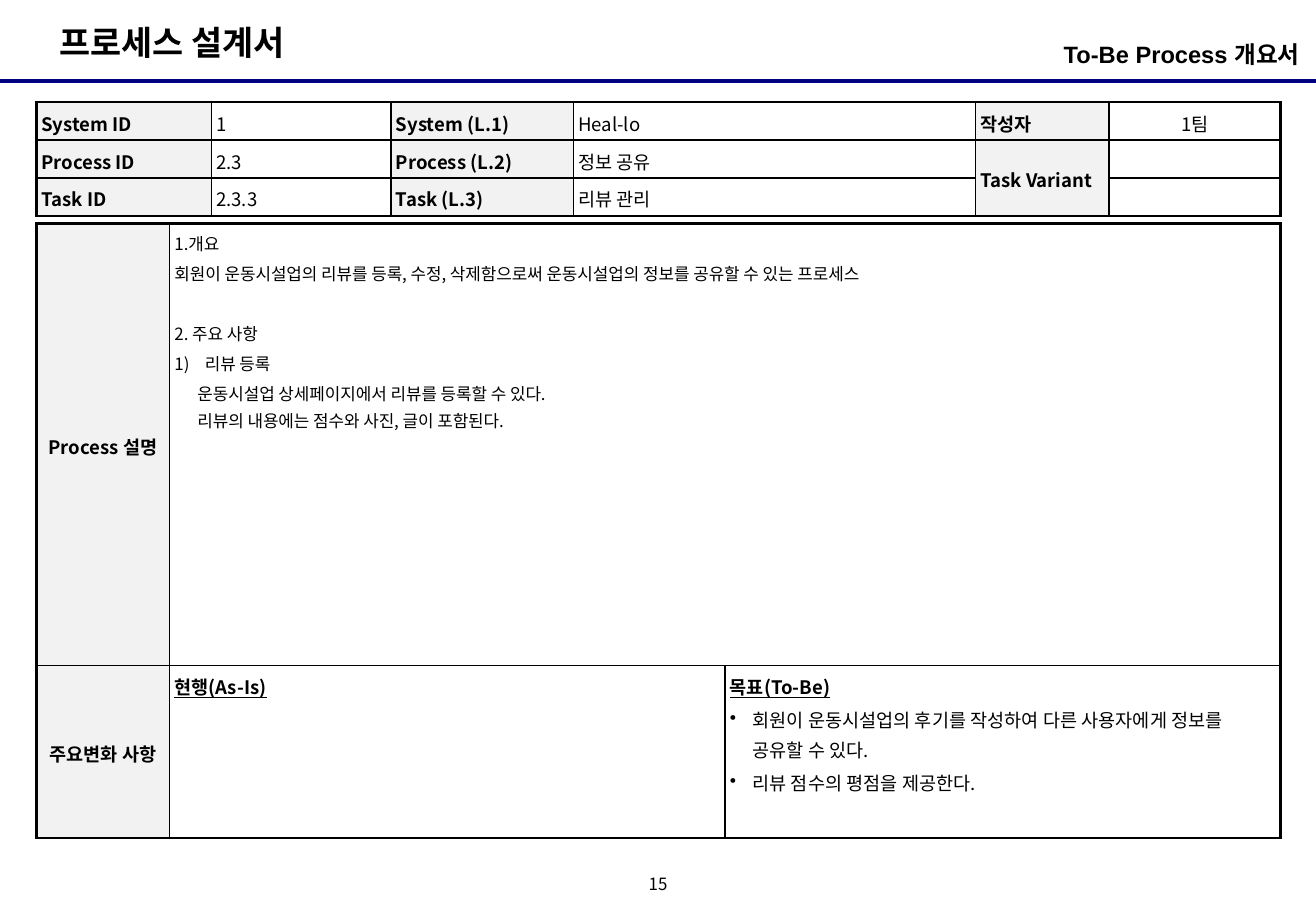
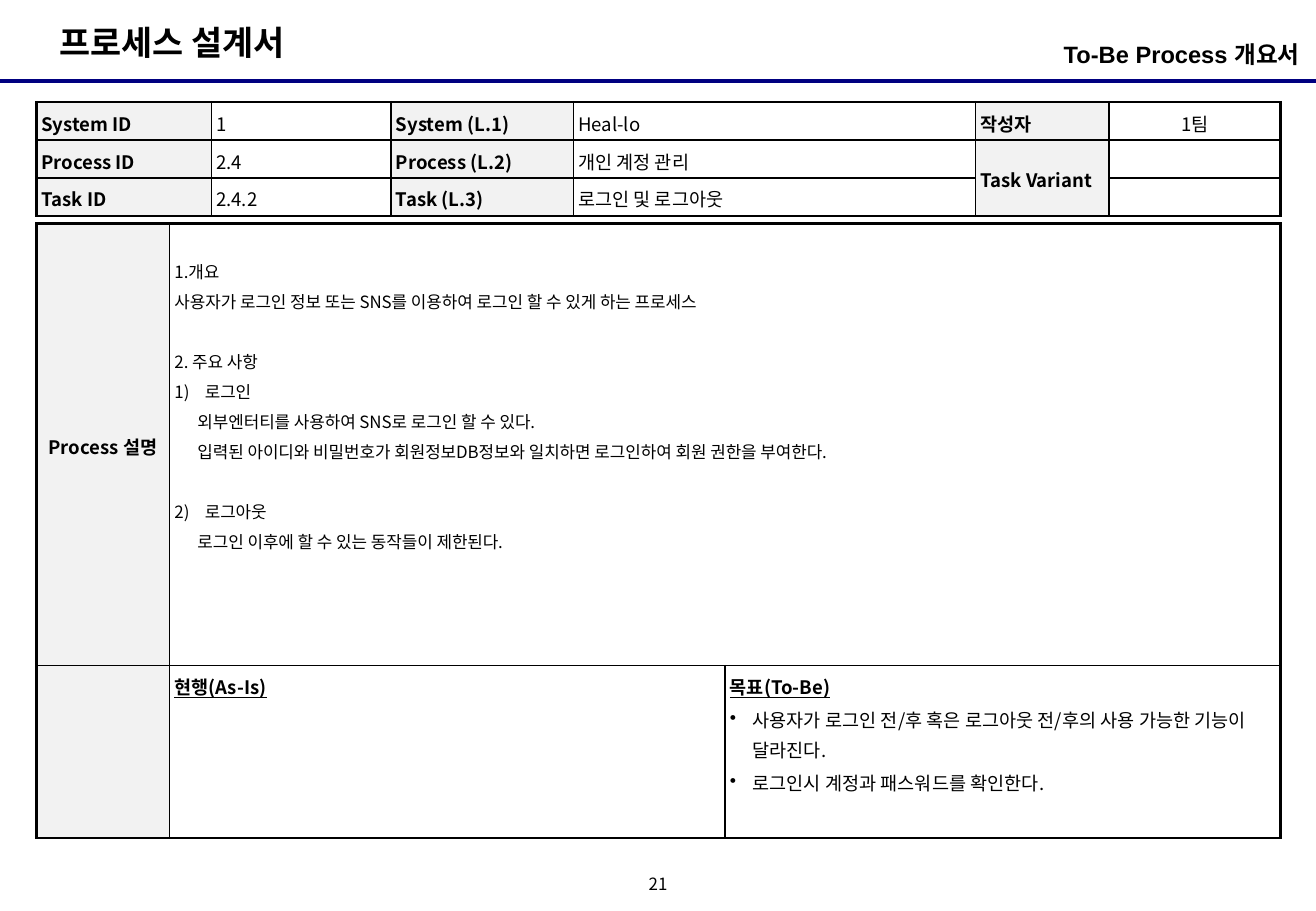
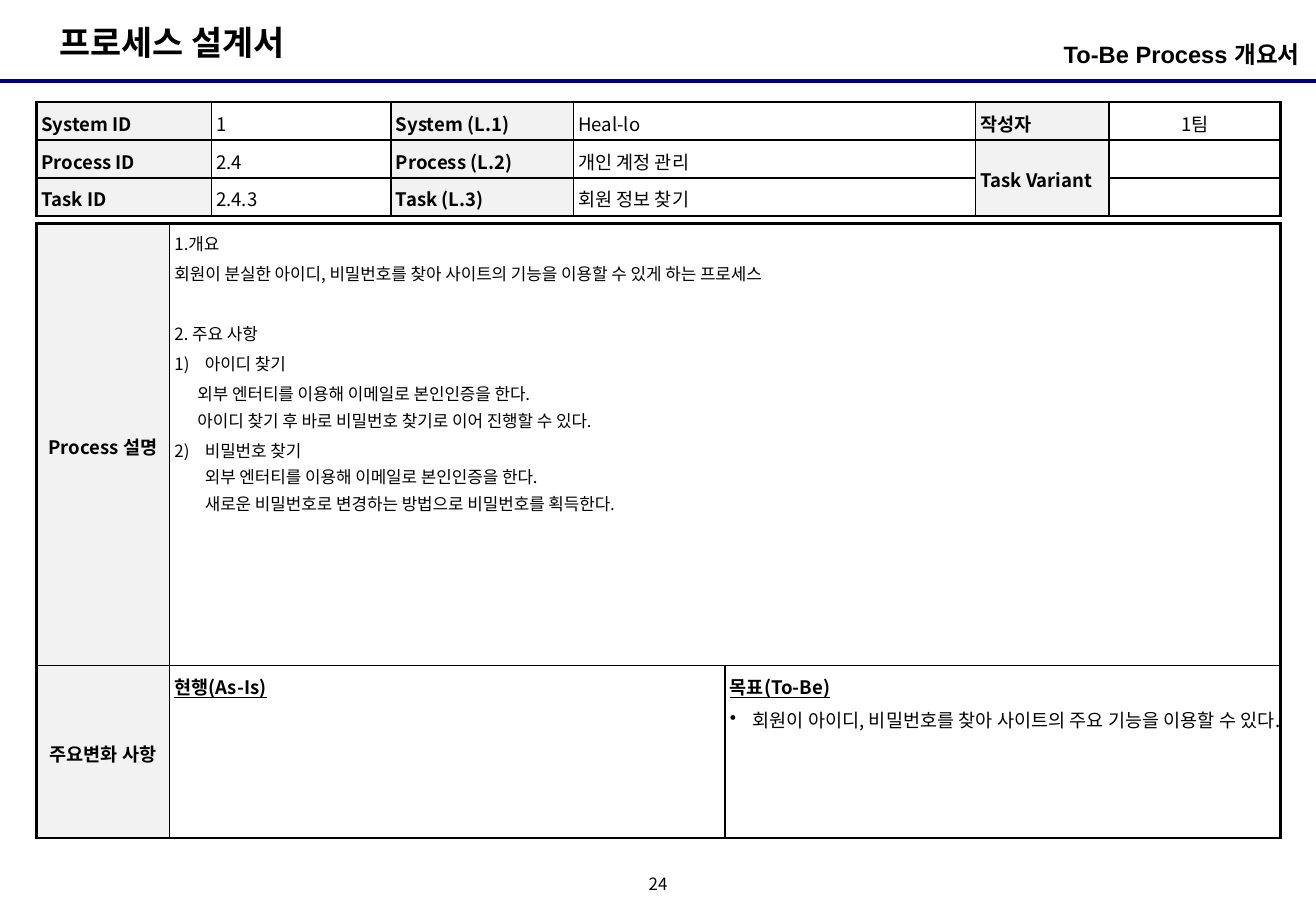
from lxml.etree import SubElement
from pptx import Presentation
from pptx.dml.color import RGBColor
from pptx.enum.shapes import MSO_CONNECTOR
from pptx.enum.text import MSO_ANCHOR, MSO_AUTO_SIZE, PP_ALIGN
from pptx.oxml.ns import qn
from pptx.util import Pt

COLORS = {"text": "000000", "rule": "000080", "label": "F2F2F2", "cell": "FFFFFF", "border": "000000"}
FONT = "Noto Sans CJK KR"
PAD = 2.83
LEFT = 21.6
HEADER_COLS = [103.7, 106.6, 108, 238.3, 79.2, 101.6]
HEADER_ROWS = [22.5] * 3
BODY_COLS = [79, 329.2, 329.2]
BODY_ROWS = [262, 102.2]

SUB = {"indent": 13.6}
TIGHT_ABOVE = {"indent": 13.6, "before": 0}
TIGHT_BELOW = {"indent": 13.6, "after": 0}
BLANK = 17.9
SECTION = {"before": BLANK + 1}

PAGES = [
    {
        "number": "15", "ids": ["1", "2.3", "2.3.3"],
        "names": ["Heal-lo", "정보 공유", "리뷰 관리"],
        "change": "주요변화 사항", "offset": 0,
        "lines": [
            ("1.개요", {}),
            ("회원이 운동시설업의 리뷰를 등록, 수정, 삭제함으로써 운동시설업의 정보를 공유할 수 있는 프로세스", {}),
            ("2. 주요 사항", SECTION),
            ("리뷰 등록", {"number": 1}),
            ("운동시설업 상세페이지에서 리뷰를 등록할 수 있다.", TIGHT_BELOW),
            ("리뷰의 내용에는 점수와 사진, 글이 포함된다.", TIGHT_ABOVE),
        ],
        "goals": ["회원이 운동시설업의 후기를 작성하여 다른 사용자에게 정보를 공유할 수 있다.",
                  "리뷰 점수의 평점을 제공한다."],
    },
    {
        "number": "21", "ids": ["1", "2.4", "2.4.2"],
        "names": ["Heal-lo", "개인 계정 관리", "로그인 및 로그아웃"],
        "change": "", "offset": 16.6,
        "lines": [
            ("1.개요", {}),
            ("사용자가 로그인 정보 또는 SNS를 이용하여 로그인 할 수 있게 하는 프로세스", {}),
            ("2. 주요 사항", SECTION),
            ("로그인", {"number": 1}),
            ("외부엔터티를 사용하여 SNS로 로그인 할 수 있다.", SUB),
            ("입력된 아이디와 비밀번호가 회원정보DB정보와 일치하면 로그인하여 회원 권한을 부여한다.", SUB),
            ("로그아웃", {"number": 2, "before": BLANK + 1}),
            ("로그인 이후에 할 수 있는 동작들이 제한된다.", SUB),
        ],
        "goals": ["사용자가 로그인 전/후 혹은 로그아웃 전/후의 사용 가능한 기능이 달라진다.",
                  "로그인시 계정과 패스워드를 확인한다."],
    },
    {
        "number": "24", "ids": ["1", "2.4", "2.4.3"],
        "names": ["Heal-lo", "개인 계정 관리", "회원 정보 찾기"],
        "change": "주요변화 사항", "offset": 0,
        "lines": [
            ("1.개요", {}),
            ("회원이 분실한 아이디, 비밀번호를 찾아 사이트의 기능을 이용할 수 있게 하는 프로세스", {}),
            ("2. 주요 사항", SECTION),
            ("아이디 찾기", {"number": 1}),
            ("외부 엔터티를 이용해 이메일로 본인인증을 한다.", TIGHT_BELOW),
            ("아이디 찾기 후 바로 비밀번호 찾기로 이어 진행할 수 있다.", TIGHT_ABOVE),
            ("비밀번호 찾기", {"number": 2, "after": 0}),
            ("외부 엔터티를 이용해 이메일로 본인인증을 한다.", {"indent": 18, "before": 0, "after": 0}),
            ("새로운 비밀번호로 변경하는 방법으로 비밀번호를 획득한다.", {"indent": 18, "before": 0}),
        ],
        "goals": ["회원이 아이디, 비밀번호를 찾아 사이트의 주요 기능을 이용할 수 있다."],
    },
]


def write(tf, text, size=11, bold=False, underline=False, font=FONT, align=PP_ALIGN.LEFT,
          spacing=1.1, before=None, after=None, indent=0, number=None, bullet=False):
    p = tf.add_paragraph() if tf.paragraphs[0].runs else tf.paragraphs[0]
    p.alignment = align
    p.line_spacing = spacing
    p.space_before = Pt(size / 10 if before is None else before)
    p.space_after = Pt(size / 10 if after is None else after)
    pPr = p._p.get_or_add_pPr()
    hang = 18 if number else 13.5 if bullet else 0
    pPr.set("marL", str(Pt(hang or indent)))
    pPr.set("indent", str(-Pt(hang)))
    if number:
        SubElement(pPr, qn("a:buAutoNum"), type="arabicParenR", startAt=str(number))
    elif bullet:
        SubElement(pPr, qn("a:buChar"), char="•")
    if not text:
        SubElement(p._p, qn("a:endParaRPr"), sz=str(size * 100))
        return
    r = p.add_run()
    r.text = text
    r.font.size = Pt(size)
    r.font.bold = bold
    r.font.underline = underline
    r.font.name = font
    r.font.color.rgb = RGBColor.from_string(COLORS["text"])
    SubElement(r._r.get_or_add_rPr(), qn("a:ea"), typeface=FONT)


def add_grid(s, top, widths, heights, merge, labels):
    frame = s.shapes.add_table(len(heights), len(widths), Pt(LEFT), Pt(top), Pt(sum(widths)), Pt(sum(heights)))
    table = frame.table
    table.first_row = table.horz_banding = False
    for column, width in zip(table.columns, widths):
        column.width = Pt(width)
    for row, height in zip(table.rows, heights):
        row.height = Pt(height)
    table.cell(*merge[0]).merge(table.cell(*merge[1]))
    for i in range(len(heights)):
        for j in range(len(widths)):
            cell = table.cell(i, j)
            cell.margin_left = cell.margin_right = cell.margin_top = cell.margin_bottom = Pt(PAD)
            right, bottom = j + 1, i + 1
            if cell.is_merge_origin:
                right, bottom = j + cell.span_width, i + cell.span_height
            outer = {"L": j == 0, "R": right == len(widths), "T": i == 0, "B": bottom == len(heights)}
            for side, is_outer in outer.items():
                ln = SubElement(cell._tc.get_or_add_tcPr(), qn("a:ln" + side), w=str(Pt(1.5 if is_outer else 1)))
                SubElement(SubElement(ln, qn("a:solidFill")), qn("a:srgbClr"), val=COLORS["border"])
            cell.fill.solid()
            cell.fill.fore_color.rgb = RGBColor.from_string(COLORS["label" if j in labels else "cell"])
    return table


prs = Presentation()
prs.slide_width, prs.slide_height = Pt(780), Pt(540)

for page in PAGES:
    s = prs.slides.add_slide(prs.slide_layouts[5])

    rule = s.shapes.add_connector(MSO_CONNECTOR.STRAIGHT, 0, Pt(48), Pt(780), Pt(48))
    rule.line.color.rgb = RGBColor.from_string(COLORS["rule"])
    rule.line.width = Pt(2.25)
    SubElement(rule._element.spPr, qn("a:effectLst"))

    title = s.shapes.title
    title.left, title.top, title.width, title.height = Pt(28), Pt(9.4), Pt(163), Pt(31.7)
    title.text_frame.auto_size = MSO_AUTO_SIZE.NONE
    title.text_frame.vertical_anchor = MSO_ANCHOR.TOP
    write(title.text_frame, "프로세스 설계서", size=20, bold=True, spacing=1.0, before=0, after=0)

    subtitle = s.shapes.add_textbox(Pt(532), Pt(20.2), Pt(238.4), Pt(28))
    tf = subtitle.text_frame
    tf.word_wrap = True
    tf.margin_left = tf.margin_right = 0
    write(tf, "To-Be Process 개요서", size=14, bold=True, font="Arial", align=PP_ALIGN.RIGHT,
          spacing=1.0, before=0, after=0)

    footer = s.shapes.add_textbox(Pt(378), Pt(516.2), Pt(24), Pt(18))
    tf = footer.text_frame
    tf.word_wrap = True
    tf.margin_left = tf.margin_right = tf.margin_top = tf.margin_bottom = 0
    tf.vertical_anchor = MSO_ANCHOR.MIDDLE
    write(tf, page["number"], size=10, align=PP_ALIGN.CENTER, spacing=0.8, before=0, after=0)

    header = add_grid(s, 60.5, HEADER_COLS, HEADER_ROWS, ((1, 4), (2, 4)), (0, 2, 4))
    columns = [
        ["System ID", "Process ID", "Task ID"],
        page["ids"],
        ["System (L.1)", "Process (L.2)", "Task (L.3)"],
        page["names"],
        ["작성자", "Task Variant", ""],
        ["1팀", "", ""],
    ]
    for j, texts in enumerate(columns):
        for i, text in enumerate(texts):
            cell = header.cell(i, j)
            if j >= 4:
                cell.vertical_anchor = MSO_ANCHOR.MIDDLE
            write(cell.text_frame, text, bold=j % 2 == 0, align=PP_ALIGN.CENTER if j == 5 else PP_ALIGN.LEFT)

    body = add_grid(s, 132.5, BODY_COLS, BODY_ROWS, ((0, 1), (0, 2)), (0,))
    for i, text in enumerate(["Process 설명", page["change"]]):
        cell = body.cell(i, 0)
        cell.vertical_anchor = MSO_ANCHOR.MIDDLE
        write(cell.text_frame, text, bold=True, align=PP_ALIGN.CENTER)

    description = body.cell(0, 1)
    description.margin_top = Pt(PAD + page["offset"])
    for text, style in page["lines"]:
        write(description.text_frame, text, size=10, **style)

    for j, text in enumerate(["현행(As-Is)", "목표(To-Be)"], 1):
        write(body.cell(1, j).text_frame, text, bold=True, underline=True)
    for goal in page["goals"]:
        write(body.cell(1, 2).text_frame, goal, bullet=True)

prs.save("out.pptx")
